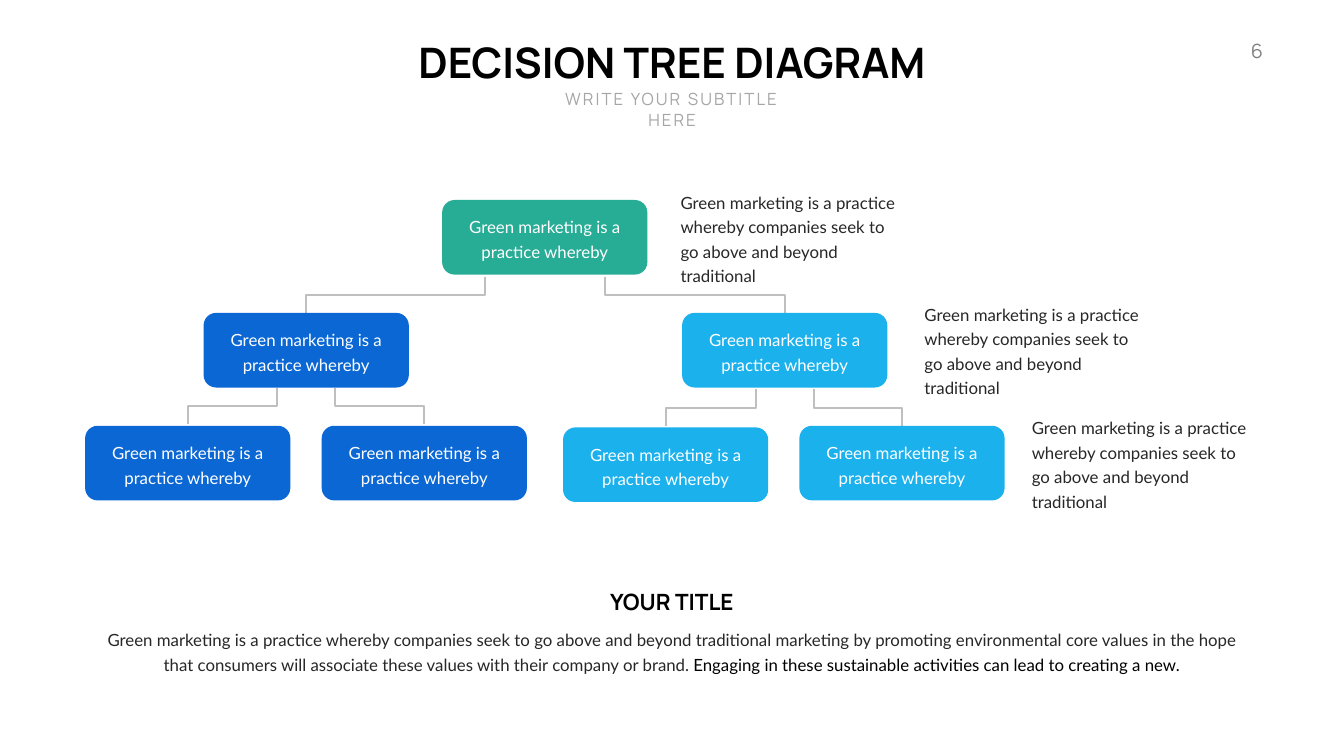
from pptx import Presentation
from pptx.dml.color import RGBColor
from pptx.enum.shapes import MSO_SHAPE as Shape
from pptx.enum.text import MSO_ANCHOR as Anchor, MSO_AUTO_SIZE as AutoSize, PP_ALIGN as Align
from pptx.util import Cm, Pt

COLORS = {
    "green": "27AC95", "blue": "0A67D4", "sky": "1BB1EC", "line": "BFBFBF",
    "black": "000000", "body": "272727", "white": "FFFFFF",
    "subtitle": "A6A6A6", "number": "808080",
}

# Text formats
TITLE = {"name": "Manrope", "size": Pt(60), "bold": True}
HEADING = {"name": "Manrope", "size": Pt(32), "bold": True}
SUBTITLE = {"name": "Manrope", "size": Pt(24), "bold": False}
NUMBER = {"name": "Manrope", "size": Pt(28), "bold": False}
BODY = {"name": "Lato", "size": Pt(24), "bold": False}

# Tree geometry in cm
NODE_W, NODE_H = 10.34, 3.76
NODE_TEXT = "Green marketing is a practice whereby"
NOTE_TEXT = ("Green marketing is a practice whereby companies seek to go "
             "above and beyond traditional")
NODES = {  # name: (left, top, color)
    "root": (22.28, 10.08, "green"),
    "left": (10.26, 15.77, "blue"),
    "right": (34.37, 15.77, "sky"),
    "left 1": (4.29, 21.46, "blue"),
    "left 2": (16.21, 21.46, "blue"),
    "right 1": (28.37, 21.54, "sky"),
    "right 2": (40.28, 21.46, "sky"),
}
BRANCHES = [  # parent, children, start offset from centre, start y, end y
    ("root", ("left", "right"), 3.02, 13.94, 15.77),
    ("left", ("left 1", "left 2"), 1.46, 19.53, 21.39),
    ("right", ("right 1", "right 2"), 1.46, 19.63, 21.46),
]
NOTES = [(34.04, 10.03), (46.33, 15.67), (51.74, 21.39)]


def rgb(color):
    return RGBColor.from_string(COLORS[color])


def write(frame, runs, style, align=Align.CENTER, anchor=Anchor.TOP,
          wrap=True, leading=None, tracking=0):
    """Fill a text frame with one paragraph of (text, color) runs."""
    settings = {"word_wrap": wrap, "auto_size": AutoSize.NONE, "vertical_anchor": anchor}
    for key, value in settings.items():
        setattr(frame, key, value)
    para = frame.paragraphs[0]
    para.alignment = align
    if leading:
        para.line_spacing = leading
    for text, color in runs:
        span = para.add_run()
        span.text = text
        for key, value in style.items():
            setattr(span.font, key, value)
        span.font.color.rgb = rgb(color)
        if tracking:
            span.font._element.set("spc", str(tracking * 100))


def add_text(page, area, runs, style, **options):
    box = page.shapes.add_textbox(*map(Cm, area))
    write(box.text_frame, runs, style, **options)
    return box


def add_title(page, text):
    title = page.shapes.title
    place = {"left": 20.4, "top": 1.7, "width": 26.92, "height": 2.82}
    for key, value in place.items():
        setattr(title, key, Cm(value))
    write(title.text_frame, [(text, "black")], TITLE, wrap=False)


def add_node(page, left, top, color):
    node = page.shapes.add_shape(
        Shape.ROUNDED_RECTANGLE, Cm(left), Cm(top), Cm(NODE_W), Cm(NODE_H))
    node.shadow.inherit = False
    node.fill.solid()
    node.fill.fore_color.rgb = rgb(color)
    node.line.fill.background()
    frame = node.text_frame
    frame.margin_left = frame.margin_right = Cm(0.79)
    write(frame, [(NODE_TEXT, "white")], BODY, anchor=Anchor.MIDDLE, leading=Pt(35))


def add_elbow(page, x1, y1, x2, y2):
    middle = (y1 + y2) / 2
    outline = page.shapes.build_freeform(Cm(x1), Cm(y1))
    corners = [(x1, middle), (x2, middle), (x2, y2)]
    outline.add_line_segments([(Cm(x), Cm(y)) for x, y in corners], close=False)
    elbow = outline.convert_to_shape()
    elbow.shadow.inherit = False
    elbow.fill.background()
    elbow.line.color.rgb = rgb("line")
    elbow.line.width = Pt(3)


def add_tree(page):
    centres = {name: left + NODE_W / 2 for name, (left, top, color) in NODES.items()}
    for parent, children, offset, start, end in BRANCHES:
        for side, child in zip((-1, 1), children):
            add_elbow(page, centres[parent] + side * offset, start, centres[child], end)
    for node in NODES.values():
        add_node(page, *node)


def main():
    deck = Presentation()
    deck.slide_width, deck.slide_height = Cm(67.72), Cm(38.1)
    page = deck.slides.add_slide(deck.slide_layouts[5])

    # Header
    add_title(page, "DECISION TREE DIAGRAM")
    add_text(page, (26.97, 4.37, 13.79, 1.27),
             [("WRITE YOUR SUBTITLE HERE", "subtitle")], SUBTITLE, tracking=3)
    add_text(page, (61.65, 1.83, 2.24, 1.45), [("6", "number")], NUMBER,
             align=Align.RIGHT, wrap=False, tracking=3)

    # Tree with a note beside each level
    add_tree(page)
    for left, top in NOTES:
        add_text(page, (left, top, 11.91, 3.86), [(NOTE_TEXT, "body")], BODY,
                 align=Align.LEFT, anchor=Anchor.MIDDLE, leading=Pt(35))

    # Closing text
    add_text(page, (30.45, 29.51, 6.81, 1.63), [("YOUR TITLE", "black")],
             HEADING, wrap=False)
    summary = add_text(page, (4.22, 31.24, 59.26, 3), [
        ("Green marketing is a practice whereby companies seek to go above and beyond "
         "traditional marketing by promoting environmental core values in the hope that "
         "consumers will associate these values with their company or brand. ", "body"),
        ("Engaging in these sustainable activities can lead to creating a new.", "black"),
    ], BODY, leading=Pt(35))
    margins = {"margin_left": 0.61, "margin_right": 0.61,
               "margin_top": 0.3, "margin_bottom": 0.3}
    for key, value in margins.items():
        setattr(summary.text_frame, key, Cm(value))

    deck.save("out.pptx")


if __name__ == "__main__":
    main()
